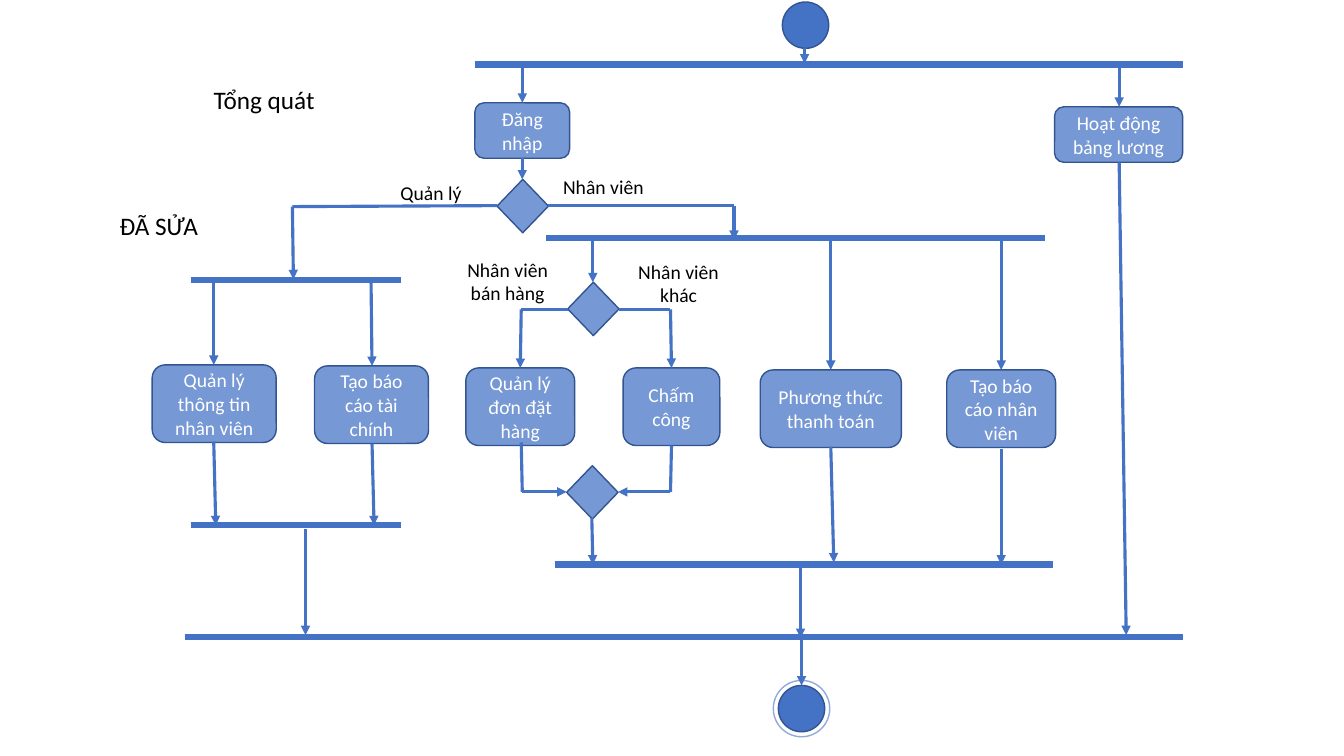
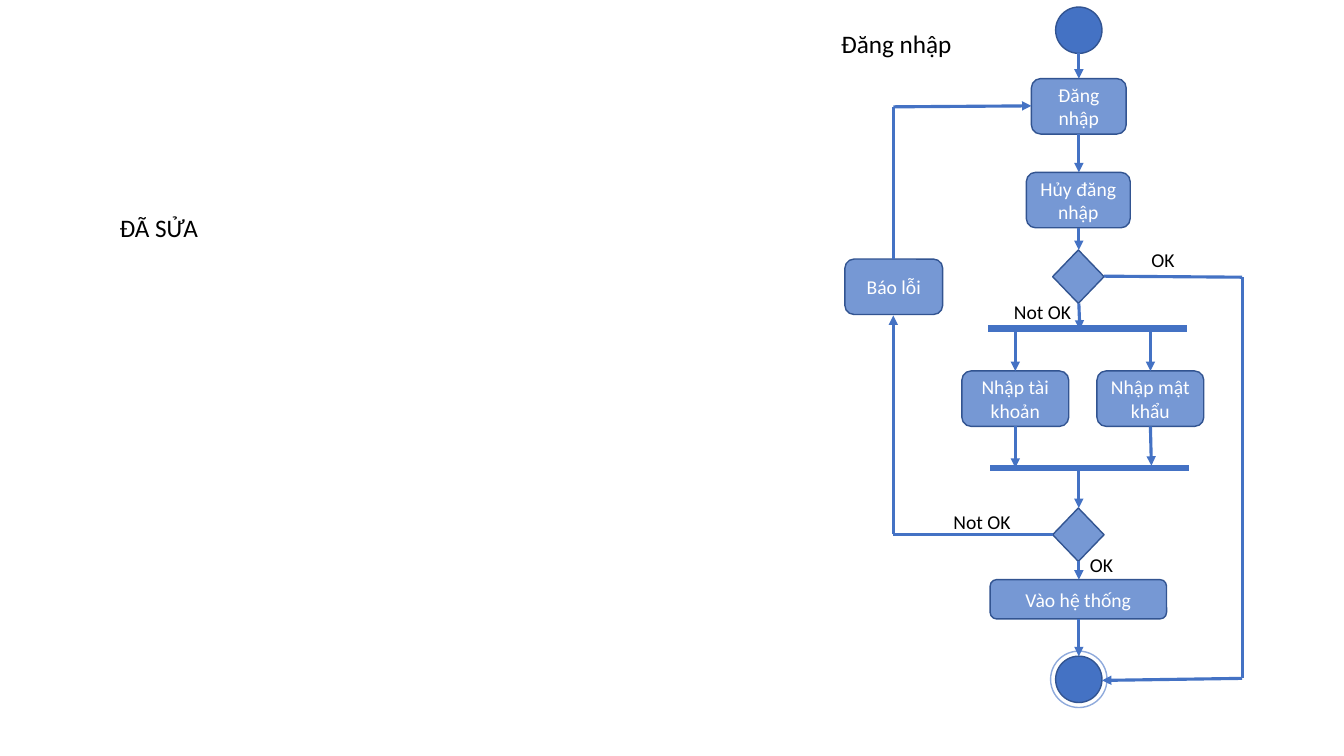
"""Build two activity diagrams: the overview and the login flow."""
from dataclasses import dataclass
from itertools import pairwise

from lxml.etree import SubElement
from pptx import Presentation
from pptx.dml.color import RGBColor
from pptx.enum.shapes import MSO_CONNECTOR as Connector, MSO_SHAPE as Shape
from pptx.enum.text import MSO_ANCHOR as Anchor, MSO_AUTO_SIZE as AutoSize, PP_ALIGN as Align
from pptx.oxml.ns import qn
from pptx.util import Inches, Pt

COLORS = {
    "step": "7698D4",
    "flow": "4472C4",
    "outline": "325491",
    "ring": "8FAADC",
    "step_text": "FFFFFF",
    "text": "000000",
}
FONT = "Calibri"
FLOW_WIDTH, BAR_WIDTH = 2.25, 4.5
DECISION_WIDTH, DECISION_HEIGHT = 0.51, 0.53
DOT_SIZE, RING_SIZE = 0.46, 0.56


@dataclass(frozen=True)
class Step:
    """A rounded activity with its text."""
    text: str
    left: float
    top: float
    width: float
    height: float = 0.55


@dataclass(frozen=True)
class Label:
    """Free text centred in its box."""
    text: str
    left: float
    top: float
    width: float
    size: int = 14


@dataclass(frozen=True)
class Decision:
    """A diamond placed by its left corner and top."""
    left: float
    top: float


@dataclass(frozen=True)
class Bar:
    """A horizontal fork or join bar."""
    left: float
    right: float
    y: float


@dataclass(frozen=True)
class Flow:
    """A bent line through points, with an optional arrowhead at its end."""
    points: tuple
    arrow: bool = True


@dataclass(frozen=True)
class Diagram:
    """Everything one slide shows; start and end are circle centres."""
    title: Label
    steps: list
    decisions: list
    bars: list
    flows: list
    labels: list
    start: tuple
    end: tuple


def down(x: float, top: float, bottom: float, drift: float = 0) -> Flow:
    """Return an arrow pointing down, drifting sideways if asked."""
    return Flow(((x, top), (x + drift, bottom)))


def rgb(name: str) -> RGBColor:
    """Look up a named colour."""
    return RGBColor.from_string(COLORS[name])


def write(shape, text: str, size: int, color: str) -> None:
    """Write centred text in a shape."""
    frame = shape.text_frame
    frame.word_wrap = True
    frame.auto_size = AutoSize.NONE
    frame.vertical_anchor = Anchor.MIDDLE
    frame.text = text
    paragraph = frame.paragraphs[0]
    paragraph.alignment = Align.CENTER
    paragraph.font.name = FONT
    paragraph.font.size = Pt(size)
    paragraph.font.color.rgb = rgb(color)


def add_outlined(shapes, kind: Shape, box: tuple, fill: str | None, line: str = "outline"):
    """Add a preset shape with a thin outline."""
    shape = shapes.add_shape(kind, *map(Inches, box))
    shape.shadow.inherit = False
    if fill:
        shape.fill.solid()
        shape.fill.fore_color.rgb = rgb(fill)
    else:
        shape.fill.background()
    shape.line.color.rgb = rgb(line)
    shape.line.width = Pt(1)
    return shape


def add_line(shapes, begin: tuple, finish: tuple, width: float, arrow: bool = False) -> None:
    """Add a straight connector without a shadow."""
    line = shapes.add_connector(Connector.STRAIGHT, *map(Inches, (*begin, *finish)))
    line.line.color.rgb = rgb("flow")
    line.line.width = Pt(width)
    if arrow:
        SubElement(line.line._get_or_add_ln(), qn("a:tailEnd"), type="triangle")
    SubElement(line._element.spPr, qn("a:effectLst"))


def add_circle(shapes, center: tuple, size: float, fill: str | None, line: str = "outline") -> None:
    """Add a circle around a centre."""
    x, y = center
    add_outlined(shapes, Shape.OVAL, (x - size / 2, y - size / 2, size, size), fill, line)


def place_label(shape, label: Label) -> None:
    """Position a text shape and write its label."""
    shape.left, shape.top = Inches(label.left), Inches(label.top)
    shape.width, shape.height = Inches(label.width), Inches(0.48)
    shape.text_frame.margin_left = shape.text_frame.margin_right = 0
    write(shape, label.text, label.size, "text")


def draw(deck, diagram: Diagram) -> None:
    """Draw a diagram on a new slide."""
    shapes = deck.slides.add_slide(deck.slide_layouts[5]).shapes
    place_label(shapes.title, diagram.title)
    for step in diagram.steps:
        box = (step.left, step.top, step.width, step.height)
        write(add_outlined(shapes, Shape.ROUNDED_RECTANGLE, box, "step"), step.text, 14, "step_text")
    for decision in diagram.decisions:
        box = (decision.left, decision.top, DECISION_WIDTH, DECISION_HEIGHT)
        add_outlined(shapes, Shape.FLOWCHART_DECISION, box, "step")
    add_circle(shapes, diagram.start, DOT_SIZE, "flow")
    end_mark = shapes.add_group_shape().shapes
    add_circle(end_mark, diagram.end, DOT_SIZE, "flow")
    add_circle(end_mark, diagram.end, RING_SIZE, None, "ring")
    for bar in diagram.bars:
        add_line(shapes, (bar.left, bar.y), (bar.right, bar.y), BAR_WIDTH)
    for flow in diagram.flows:
        for begin, finish in pairwise(flow.points):
            add_line(shapes, begin, finish, FLOW_WIDTH, flow.arrow and finish == flow.points[-1])
    for label in diagram.labels:
        place_label(shapes.add_textbox(0, 0, 0, 0), label)


OVERVIEW = Diagram(
    title=Label("Tổng quát", 1.83, 0.75, 1.58, 18),
    steps=[
        Step("Đăng nhập", 4.71, 1.02, 0.94),
        Step("Hoạt động bảng lương", 10.46, 1.06, 1.27),
        Step("Quản lý thông tin nhân viên", 1.51, 3.62, 1.23, 0.77),
        Step("Tạo báo cáo tài chính", 3.12, 3.63, 1.13, 0.77),
        Step("Quản lý đơn đặt hàng", 4.62, 3.65, 1.08, 0.77),
        Step("Chấm công", 6.18, 3.65, 0.96, 0.77),
        Step("Phương thức thanh toán", 7.54, 3.67, 1.4, 0.77),
        Step("Tạo báo cáo nhân viên", 9.39, 3.67, 1.08, 0.77),
    ],
    decisions=[Decision(4.93, 1.78), Decision(5.63, 2.8), Decision(5.62, 4.62)],
    bars=[
        Bar(4.71, 11.73, 0.64),
        Bar(5.42, 10.36, 2.36),
        Bar(1.89, 3.98, 2.78),
        Bar(1.89, 3.98, 5.21),
        Bar(5.5, 10.44, 5.6),
        Bar(1.83, 11.73, 6.32),
    ],
    flows=[
        down(7.98, 0.48, 0.63),
        down(5.18, 0.63, 1.02),
        down(11.1, 0.63, 1.06),
        down(5.18, 1.57, 1.78),
        Flow(((4.93, 2.04), (2.9, 2.05), (2.91, 2.77))),
        Flow(((5.44, 2.04), (7.28, 2.04), (7.28, 2.38))),
        down(2.12, 2.78, 3.62),
        down(3.68, 2.78, 3.63, 0.01),
        down(5.88, 2.36, 2.8),
        Flow(((5.63, 3.07), (5.17, 3.07), (5.16, 3.65))),
        Flow(((6.14, 3.07), (6.65, 3.07), (6.66, 3.65))),
        down(8.24, 2.38, 3.67),
        down(9.93, 2.38, 3.67),
        Flow(((5.17, 4.39), (5.18, 4.88), (5.62, 4.88))),
        Flow(((6.66, 4.42), (6.65, 4.88), (6.13, 4.88))),
        down(2.12, 4.38, 5.21, 0.02),
        down(3.69, 4.4, 5.21, 0.02),
        down(5.87, 5.14, 5.6, 0.01),
        down(8.24, 4.43, 5.58, 0.03),
        down(9.93, 4.45, 5.6),
        down(3.03, 5.25, 6.3),
        down(7.94, 5.62, 6.33),
        down(11.1, 1.61, 6.3, 0.07),
        down(7.95, 6.33, 6.8),
    ],
    labels=[
        Label("Quản lý", 3.71, 1.67, 1.13),
        Label("Nhân viên", 5.42, 1.61, 1.13),
        Label("Nhân viên bán hàng", 4.47, 2.55, 1.13),
        Label("Nhân viên khác", 6.22, 2.57, 1.02),
        Label("ĐÃ SỬA", 0.4, 2, 2.35, 18),
    ],
    start=(7.99, 0.25),
    end=(7.95, 7.03),
)

LOGIN = Diagram(
    title=Label("Đăng nhập", 8.1, 0.19, 1.58, 18),
    steps=[
        Step("Đăng nhập", 10.23, 0.78, 0.94),
        Step("Hủy đăng nhập", 10.18, 1.71, 1.03),
        Step("Báo lỗi", 8.38, 2.57, 0.97),
        Step("Nhập tài khoản", 9.54, 3.68, 1.06),
        Step("Nhập mật khẩu", 10.88, 3.68, 1.06),
        Step("Vào hệ thống", 9.82, 5.75, 1.75, 0.39),
    ],
    decisions=[Decision(10.44, 2.48), Decision(10.44, 5.04)],
    bars=[Bar(9.8, 11.77, 3.26), Bar(9.82, 11.79, 4.64)],
    flows=[
        down(10.7, 0.53, 0.78),
        down(10.7, 1.33, 1.71),
        down(10.7, 2.26, 2.48),
        down(10.7, 3.01, 3.27, 0.01),
        down(10.07, 3.27, 3.68),
        down(11.41, 3.27, 3.68),
        down(10.07, 4.23, 4.64),
        down(11.41, 4.23, 4.62, 0.01),
        down(10.7, 4.66, 5.04),
        down(10.7, 5.57, 5.75),
        down(10.7, 6.14, 6.51),
        Flow(((10.44, 5.3), (8.86, 5.3), (8.86, 3.13))),
        Flow(((8.86, 2.57), (8.86, 1.06), (10.23, 1.05))),
        Flow(((10.95, 2.74), (12.32, 2.75), (12.32, 6.73), (10.93, 6.75))),
    ],
    labels=[
        Label("OK", 11.31, 2.34, 0.45),
        Label("Not OK", 9.92, 2.85, 0.84),
        Label("Not OK", 9.32, 4.94, 0.84),
        Label("OK", 10.7, 5.36, 0.45),
        Label("ĐÃ SỬA", 0.4, 2.02, 2.35, 18),
    ],
    start=(10.7, 0.3),
    end=(10.7, 6.74),
)

presentation = Presentation()
presentation.slide_width, presentation.slide_height = Inches(13.33), Inches(7.5)
for activity in (OVERVIEW, LOGIN):
    draw(presentation, activity)
presentation.save("out.pptx")
